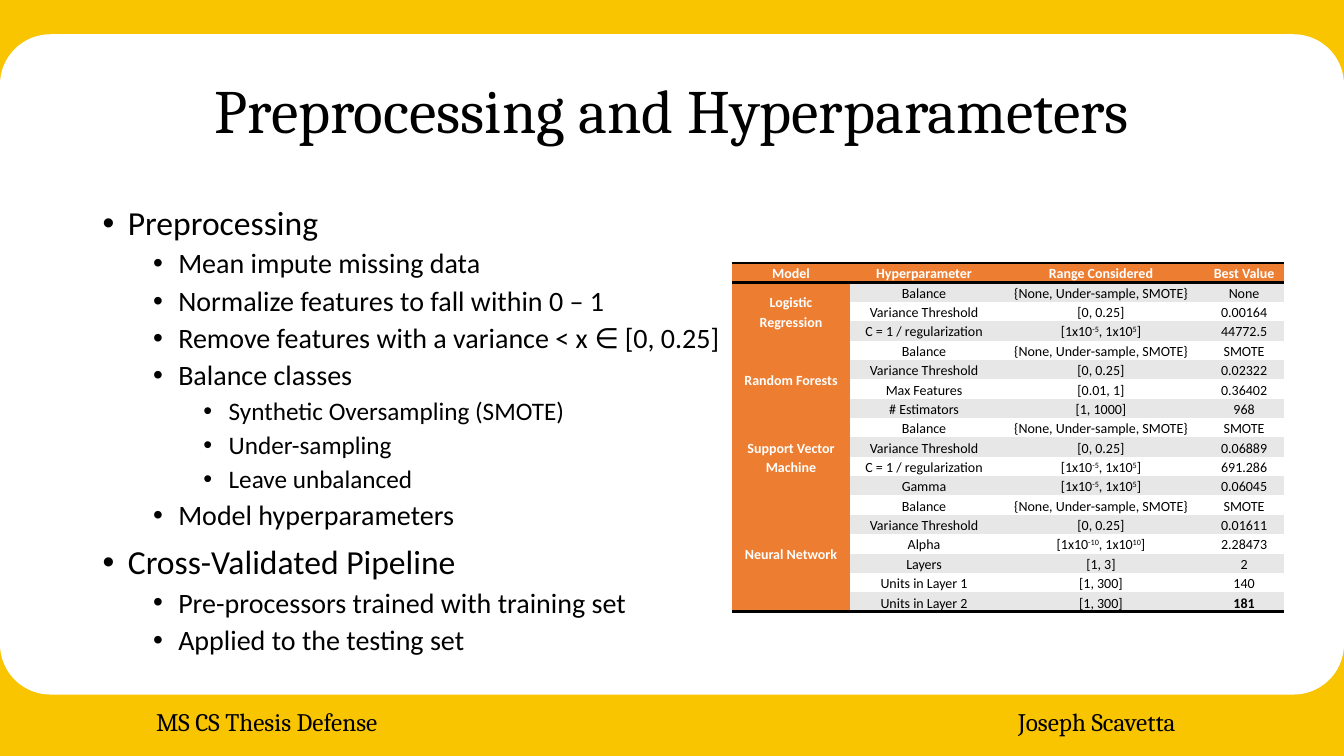
from dataclasses import dataclass
from typing import NamedTuple

from lxml import etree
from pptx import Presentation
from pptx import util as u
from pptx.dml.color import RGBColor
from pptx.enum import shapes, text
from pptx.oxml import ns

PX = 9144
GOLD = RGBColor(0xF9, 0xC4, 0x00)
WHITE = RGBColor(0xFF, 0xFF, 0xFF)
BLACK = RGBColor(0x00, 0x00, 0x00)
ORANGE = RGBColor(0xED, 0x7D, 0x31)
GREY = RGBColor(0xE7, 0xE7, 0xE7)
SERIF, SANS = "Cambria", "Calibri"
NO_GRID_STYLE = "{2D5ABB26-0587-4C30-8999-92F81FD0307C}"


class Box(NamedTuple):
    left: int
    top: int
    width: int
    height: int

    def emu(self) -> list[int]:
        return [side * PX for side in self]


@dataclass(frozen=True)
class Band:
    box: Box
    color: RGBColor
    rounded: bool = False
    rotation: int = 0


@dataclass(frozen=True)
class Point:
    level: int
    words: str


@dataclass(frozen=True)
class Model:
    name: str
    parameters: list[tuple[str, str, str]]


BANDS = [
    Band(Box(0, 0, 1333, 124), GOLD),
    Band(Box(0, 34, 1333, 100), WHITE, rounded=True),
    Band(Box(0, 610, 1333, 140), GOLD, rotation=180),
    Band(Box(0, 589, 1333, 100), WHITE, rounded=True, rotation=180),
]
FOOTERS = [
    ("MS CS Thesis Defense", Box(145, 696, 252, 40)),
    ("Joseph Scavetta", Box(1000, 696, 188, 40)),
]
POINT_SIZES = [24, 20, 18]
POINTS = [
    Point(0, "Preprocessing"),
    Point(1, "Mean impute missing data"),
    Point(1, "Normalize features to fall within 0 – 1"),
    Point(1, "Remove features with a variance < x ∈ [0, 0.25]"),
    Point(1, "Balance classes"),
    Point(2, "Synthetic Oversampling (SMOTE)"),
    Point(2, "Under-sampling"),
    Point(2, "Leave unbalanced"),
    Point(1, "Model hyperparameters"),
    Point(0, "Cross-Validated Pipeline"),
    Point(1, "Pre-processors trained with training set"),
    Point(1, "Applied to the testing set"),
]
HEADINGS = ["Model", "Hyperparameter", "Range Considered", "Best Value"]
COLUMN_WIDTHS = [117, 147, 204, 80]
ROW_HEIGHT = 18
FIVE_DECADES = "[1x10^-5^, 1x10^5^]"


def shared_parameters(balance: str, threshold: str) -> list[tuple[str, str, str]]:
    return [
        ("Balance", "{None, Under-sample, SMOTE}", balance),
        ("Variance Threshold", "[0, 0.25]", threshold),
    ]


MODELS = [
    Model("Logistic Regression", shared_parameters("None", "0.00164") + [
        ("C = 1 / regularization", FIVE_DECADES, "44772.5"),
    ]),
    Model("Random Forests", shared_parameters("SMOTE", "0.02322") + [
        ("Max Features", "[0.01, 1]", "0.36402"),
        ("# Estimators", "[1, 1000]", "968"),
    ]),
    Model("Support Vector Machine", shared_parameters("SMOTE", "0.06889") + [
        ("C = 1 / regularization", FIVE_DECADES, "691.286"),
        ("Gamma", FIVE_DECADES, "0.06045"),
    ]),
    Model("Neural Network", shared_parameters("SMOTE", "0.01611") + [
        ("Alpha", "[1x10^-10^, 1x10^10^]", "2.28473"),
        ("Layers", "[1, 3]", "2"),
        ("Units in Layer 1", "[1, 300]", "140"),
        ("Units in Layer 2", "[1, 300]", "181"),
    ]),
]


def set_font(paragraph, name: str, size: int, color: RGBColor = BLACK, bold: bool = False) -> None:
    font = paragraph.font
    font.name, font.size, font.bold = name, u.Pt(size), bold
    font.color.rgb = color


def draw_band(slide, band: Band) -> None:
    kind = shapes.MSO_SHAPE.ROUND_2_SAME_RECTANGLE if band.rounded else shapes.MSO_SHAPE.RECTANGLE
    panel = slide.shapes.add_shape(kind, *band.box.emu())
    if band.rounded:
        panel.adjustments[0] = 0.5
    panel.rotation = band.rotation
    panel.fill.solid()
    panel.fill.fore_color.rgb = band.color
    panel.line.fill.background()
    panel.shadow.inherit = False


def draw_footer(slide, words: str, box: Box) -> None:
    frame = slide.shapes.add_textbox(*box.emu()).text_frame
    frame.word_wrap = False
    frame.auto_size = text.MSO_AUTO_SIZE.SHAPE_TO_FIT_TEXT
    frame.text = words
    set_font(frame.paragraphs[0], SERIF, 18)


def draw_title(slide, words: str, box: Box) -> None:
    frame = slide.shapes.add_textbox(*box.emu()).text_frame
    frame.word_wrap = True
    frame.vertical_anchor = text.MSO_ANCHOR.MIDDLE
    frame.text = words
    heading = frame.paragraphs[0]
    heading.alignment = text.PP_ALIGN.CENTER
    heading.line_spacing = 0.9
    set_font(heading, SERIF, 44)


def draw_points(slide, points: list[Point], box: Box) -> None:
    frame = slide.shapes.add_textbox(*box.emu()).text_frame
    frame.word_wrap = True
    for index, point in enumerate(points):
        paragraph = frame.add_paragraph() if index else frame.paragraphs[0]
        paragraph.text = point.words
        paragraph.level = point.level
        paragraph.line_spacing = 0.9
        paragraph.space_before = u.Pt(5 if point.level else 10)
        properties = paragraph._p.get_or_add_pPr()
        properties.set("marL", str((25 + 50 * point.level) * PX))
        properties.set("indent", str(-25 * PX))
        etree.SubElement(properties, ns.qn("a:buFont"), typeface="Arial")
        etree.SubElement(properties, ns.qn("a:buChar"), char="•")
        set_font(paragraph, SANS, POINT_SIZES[point.level])


def add_rule(cell, edge: str) -> None:
    rule = etree.Element(ns.qn(f"a:ln{edge}"), w=str(u.Pt(2)))
    fill = etree.SubElement(rule, ns.qn("a:solidFill"))
    etree.SubElement(fill, ns.qn("a:srgbClr"), val=str(BLACK))
    cell._tc.get_or_add_tcPr().insert(0, rule)


def fill_cell(cell, words: str, fill: RGBColor, color: RGBColor = BLACK, bold: bool = False) -> None:
    cell.fill.solid()
    cell.fill.fore_color.rgb = fill
    cell.vertical_anchor = text.MSO_ANCHOR.MIDDLE
    cell.margin_left = cell.margin_right = 8 * PX
    cell.margin_top = cell.margin_bottom = 0
    paragraph = cell.text_frame.paragraphs[0]
    paragraph.alignment = text.PP_ALIGN.CENTER
    paragraph.line_spacing = 1.15
    set_font(paragraph, SANS, 10, color, bold)
    for index, piece in enumerate(words.split("^")):
        run = paragraph.add_run()
        run.text = piece
        if index % 2:
            run._r.get_or_add_rPr().set("baseline", "30000")


def draw_results(slide, models: list[Model], left: int, top: int) -> None:
    last = sum(len(model.parameters) for model in models)
    box = Box(left, top, sum(COLUMN_WIDTHS), ROW_HEIGHT * (last + 1))
    results = slide.shapes.add_table(last + 1, len(HEADINGS), *box.emu()).table
    results.first_row = results.horz_banding = False
    results._tbl.tblPr.find(ns.qn("a:tableStyleId")).text = NO_GRID_STYLE
    for column, width in zip(results.columns, COLUMN_WIDTHS):
        column.width = width * PX
    for column, heading in enumerate(HEADINGS):
        fill_cell(results.cell(0, column), heading, ORANGE, WHITE, True)
        for edge in "BT":
            add_rule(results.cell(0, column), edge)
    row = 1
    for model in models:
        name_cell = results.cell(row, 0)
        fill_cell(name_cell, model.name, ORANGE, WHITE, True)
        name_cell.merge(results.cell(row + len(model.parameters) - 1, 0))
        for parameter in model.parameters:
            for column, words in enumerate(parameter, start=1):
                is_final = row == last and column == len(parameter)
                fill_cell(results.cell(row, column), words, GREY if row % 2 else WHITE, bold=is_final)
            row += 1
    add_rule(name_cell, "B")
    for column in range(len(HEADINGS)):
        add_rule(results.cell(last, column), "B")


def main() -> None:
    deck = Presentation()
    deck.slide_width, deck.slide_height = 1333 * PX, 750 * PX
    slide = deck.slides.add_slide(deck.slide_layouts[6])
    for band in BANDS:
        draw_band(slide, band)
    for words, box in FOOTERS:
        draw_footer(slide, words, box)
    draw_title(slide, "Preprocessing and Hyperparameters", Box(92, 40, 1150, 145))
    draw_points(slide, POINTS, Box(92, 200, 1150, 476))
    draw_results(slide, MODELS, 726, 261)
    deck.save("out.pptx")


if __name__ == "__main__":
    main()
